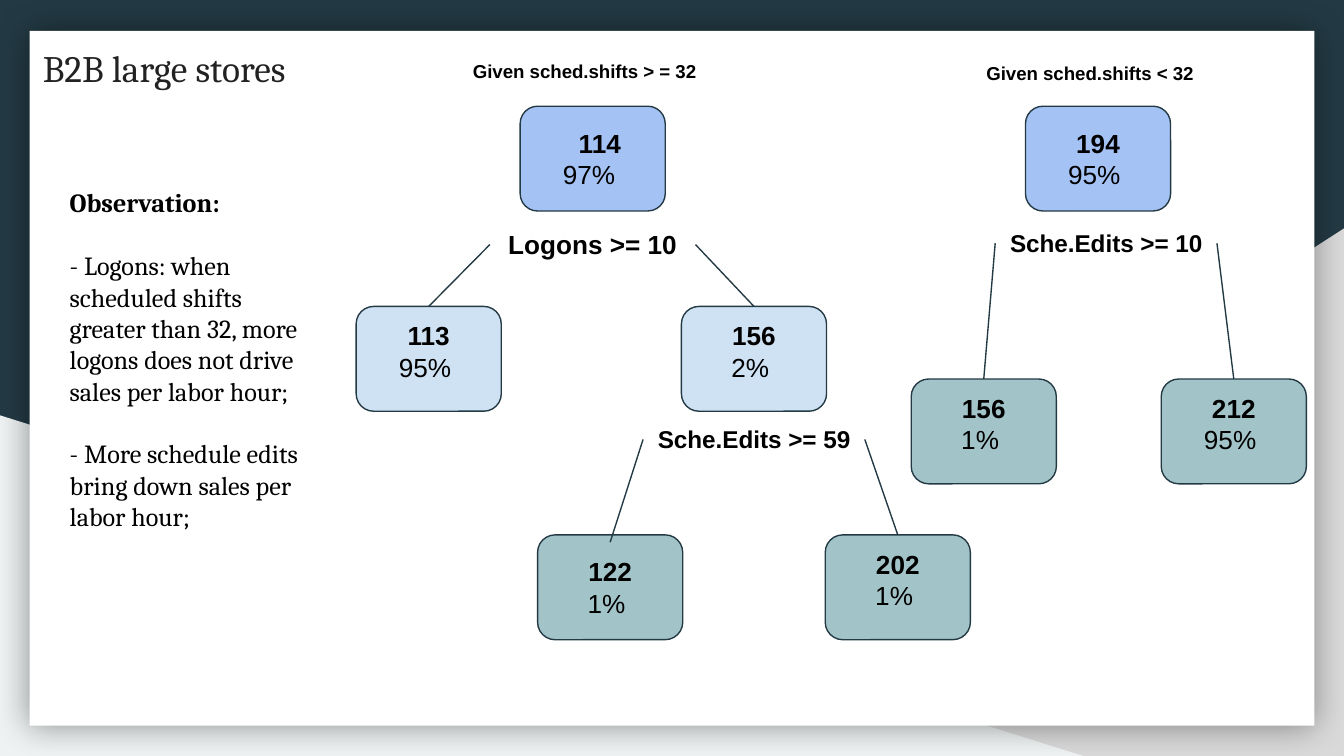
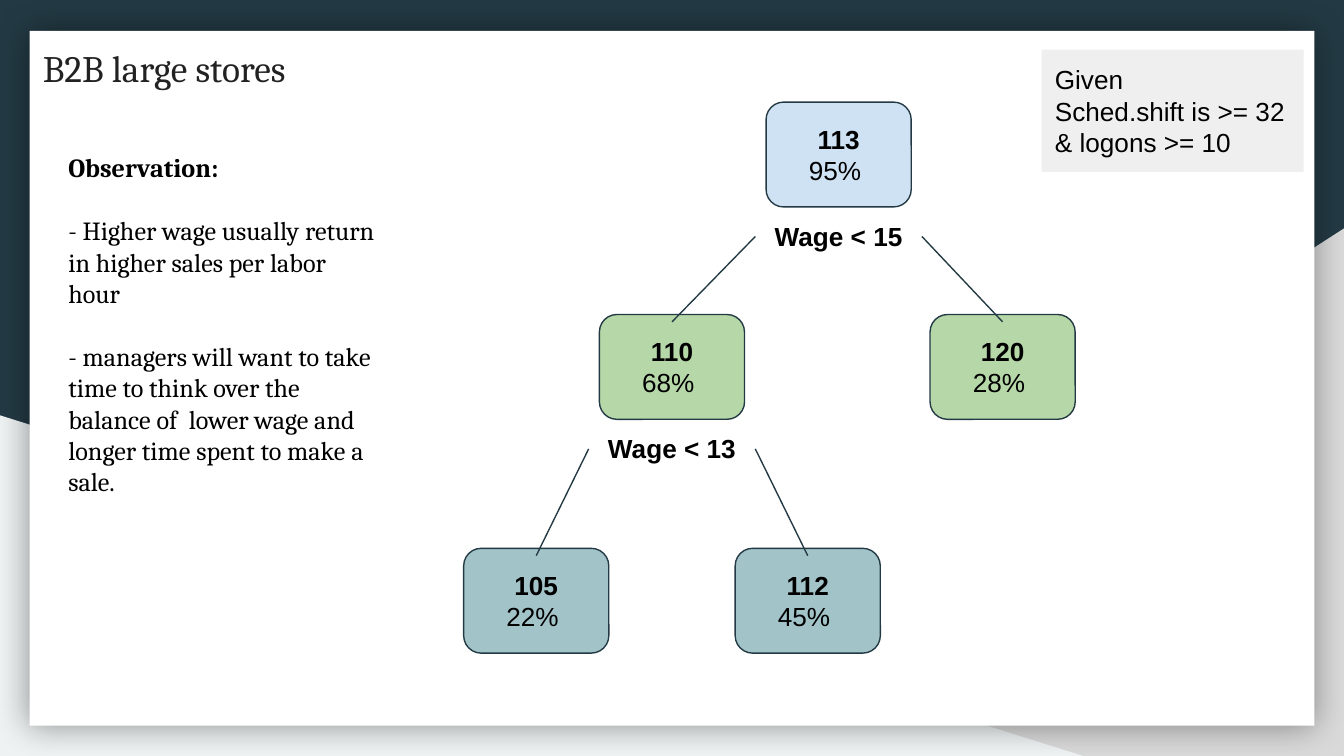
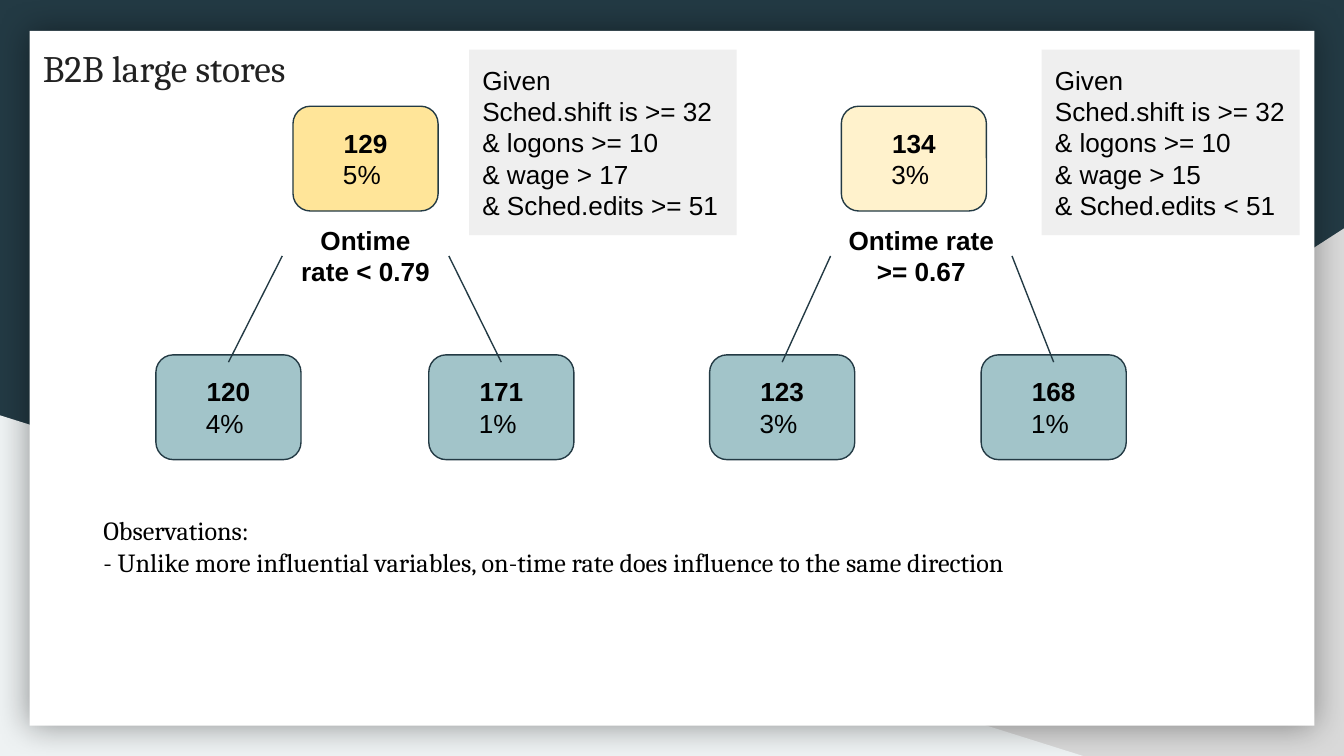
from dataclasses import dataclass

from lxml.etree import SubElement
from pptx import Presentation
from pptx.dml.color import RGBColor as Color
from pptx.enum.shapes import MSO_CONNECTOR as Link, MSO_SHAPE as Form
from pptx.enum.text import MSO_ANCHOR as Anchor, MSO_AUTO_SIZE as Fit, PP_ALIGN as Align
from pptx.oxml.ns import qn
from pptx.util import Inches, Pt

# The grid: square cells of a tenth of an inch
COLUMNS, ROWS = 100, 56.25
CELL = 0.1


@dataclass(frozen=True)
class Theme:
    sans: str = "Arial"
    serif: str = "Cambria"
    title_size: int = 20
    body_size: int = 14
    small_size: int = 13
    caption_size: int = 10
    gap: float = 16.8
    outline: float = 0.75
    black: str = "000000"
    heading: str = "222222"
    dark: str = "233A44"
    grey: str = "D9D9D9"
    pale: str = "EEF2F3"
    white: str = "FFFFFF"
    note: str = "EFEFEF"
    blue: str = "A4C2F4"
    sky: str = "CFE2F3"
    teal: str = "A2C4C9"
    green: str = "B6D7A8"
    amber: str = "FFE599"
    cream: str = "FFF2CC"


@dataclass(frozen=True)
class Node:
    center: float
    bottom: float
    label_top: float


THEME = Theme()


def cells(count):
    return Inches(count * CELL)


def write(frame, lines, font=THEME.sans, size=THEME.body_size, color=THEME.black,
          bold=False, align=Align.LEFT, gap=0, indent=0, anchor=Anchor.TOP, fit=True):
    """Fill a frame; a line is a text, or a text with its own bold, align and indent."""
    frame.word_wrap = True
    frame.auto_size = Fit.SHAPE_TO_FIT_TEXT if fit else Fit.NONE
    frame.vertical_anchor = anchor
    frame.margin_left = frame.margin_right = frame.margin_top = frame.margin_bottom = cells(1)
    for index, line in enumerate(lines):
        text, own = (line, {}) if isinstance(line, str) else line
        para = frame.paragraphs[0] if index == 0 else frame.add_paragraph()
        para.alignment = own.get("align", align)
        para.space_before = Pt(gap if index else 0)
        left = own.get("indent", indent)
        if left:
            para._p.get_or_add_pPr().set("marL", str(cells(left)))
        span = para.add_run()
        span.text = text
        span.font.name, span.font.size = font, Pt(size)
        span.font.bold = own.get("bold", bold)
        span.font.color.rgb = Color.from_string(color)


class TreeDeck:
    """The style of the deck and the page now being filled."""

    def __init__(self, theme):
        self.theme = theme
        self.deck = Presentation()
        self.deck.slide_width, self.deck.slide_height = cells(COLUMNS), cells(ROWS)
        self.blank = self.deck.slide_layouts[6]
        self.page = self.deck.slides.add_slide(self.blank)
        self.build_backdrop()

    def build_backdrop(self):
        """Draw the shared background once and hang it on the blank layout."""
        theme = self.theme
        fill = self.blank.background.fill
        fill.solid()
        fill.fore_color.rgb = Color.from_string(theme.dark)
        for holder in list(self.blank.placeholders):
            holder.element.getparent().remove(holder.element)
        right = self.shape(Form.RIGHT_TRIANGLE, 39.2, 17, 60.8, 39.25, theme.grey)
        right.element.spPr.get_or_add_xfrm().set("flipH", "1")
        left = self.shape(Form.RIGHT_TRIANGLE, 0, 30.9, 80.6, 25.35, theme.pale)
        sheet = self.shape(Form.RECTANGLE, 2.2, 2.3, 95.6, 51.7, theme.white)
        effects = sheet.element.spPr.find(qn("a:effectLst"))
        shadow = SubElement(effects, qn("a:outerShdw"), blurRad=str(Pt(18)), dist="0",
                            dir="0", algn="ctr", rotWithShape="0")
        tint = SubElement(shadow, qn("a:srgbClr"), val=theme.black)
        SubElement(tint, qn("a:alpha"), val="40000")
        for part in (right, left, sheet):
            self.blank.shapes.element.append(part.element)

    def start(self, title, first=False):
        if not first:
            self.page = self.deck.slides.add_slide(self.blank)
        self.text(2.2, 2.2, 27, 5.6, [title], font=self.theme.serif, fit=False,
                  size=self.theme.title_size, color=self.theme.heading, anchor=Anchor.MIDDLE)

    def shape(self, form, col, row, width, height, fill, outline=None):
        box = self.page.shapes.add_shape(form, *map(cells, (col, row, width, height)))
        box.shadow.inherit = False
        box.fill.solid()
        box.fill.fore_color.rgb = Color.from_string(fill)
        if outline:
            box.line.color.rgb = Color.from_string(outline)
            box.line.width = Pt(self.theme.outline)
        else:
            box.line.fill.background()
        return box

    def text(self, col, row, width, height, lines, **style):
        box = self.page.shapes.add_textbox(*map(cells, (col, row, width, height)))
        write(box.text_frame, lines, **style)

    def observation(self, col, row, width, height, lines, **style):
        self.text(col, row, width, height, lines, font=self.theme.serif, **style)

    def note(self, col, width, height, lines):
        box = self.shape(Form.RECTANGLE, col, 3.7, width, height, self.theme.note)
        write(box.text_frame, lines, anchor=Anchor.MIDDLE)

    def line(self, start, end):
        link = self.page.shapes.add_connector(Link.STRAIGHT, *map(cells, (*start, *end)))
        link.line.color.rgb = Color.from_string(self.theme.dark)
        link.line.width = Pt(self.theme.outline)
        SubElement(link.element.spPr, qn("a:effectLst"))

    def node(self, col, row, value, share, fill, drop=0.55, **value_style):
        """A rounded box with a bold value over its share."""
        width, height, inset = 10.8, 7.8, 0.67
        self.shape(Form.ROUNDED_RECTANGLE, col, row, width, height, fill, self.theme.dark)
        self.text(col + inset, row + drop, width - 2 * inset, 6.7,
                  [(value, {"bold": True, **value_style}), share + " "], align=Align.CENTER)
        return Node(col + width / 2, row + height, row + drop)

    def split(self, parent, question, left, right, width=12.4, height=4.4,
              shift=0, drop=0, size=THEME.body_size):
        """A question under its parent, with a line from each side to a child."""
        col, row = parent.center - width / 2 + shift, parent.bottom + drop
        self.text(col, row, width, height, [question], size=size, bold=True, align=Align.CENTER)
        for edge, child in ((col, left), (col + width, right)):
            self.line((edge, row + height / 2), (child.center, child.label_top))


def shifts_page(tree):
    theme = tree.theme
    tree.start("B2B large stores", first=True)

    # Many shifts
    tree.text(34.2, 3.6, 19.9, 3.7, ["Given sched.shifts > = 32"],
              size=theme.caption_size, bold=True)
    root = tree.node(38.7, 7.9, "114", "97%", theme.blue, align=Align.LEFT, indent=2.7)
    few_logons = tree.node(26.5, 22.8, "113", "95%", theme.sky, drop=0)
    many_logons = tree.node(50.7, 22.8, "156", "2%", theme.sky, drop=0)
    left = tree.node(40, 39.8, "122", "1%", theme.teal)
    right = tree.node(61.4, 39.8, "202", "1%", theme.teal, drop=0)
    tree.split(root, "Logons >= 10", few_logons, many_logons, width=15.3, drop=0.3)
    edits = {"width": 16.5, "height": 4.2, "size": theme.small_size}
    tree.split(many_logons, "Sche.Edits >= 59", left, right, **edits)

    # Few shifts
    tree.text(72.4, 3.8, 19.9, 3.7, ["Given sched.shifts < 32"],
              size=theme.caption_size, bold=True)
    root = tree.node(76.3, 7.9, "194", "95%", theme.blue)
    left = tree.node(67.8, 28.2, "156", "1%", theme.teal, drop=0)
    right = tree.node(86.4, 28.2, "212", "95%", theme.teal, drop=0)
    tree.split(root, "Sche.Edits >= 10", left, right, shift=0.6, drop=0.3, **edits)

    tree.observation(4.2, 12.9, 19.9, 30.3, [
        ("Observation:", {"bold": True}),
        "- Logons: when scheduled shifts greater than 32, more logons does not drive "
        "sales per labor hour;",
        "- More schedule edits bring down sales per labor hour;",
    ], gap=theme.gap)


def wage_page(tree):
    theme = tree.theme
    tree.start("B2B large stores")

    # Wage tree
    root = tree.node(57, 7.6, "113", "95%", theme.sky)
    low_wage = tree.node(44.6, 23.4, "110", "68%", theme.green)
    high_wage = tree.node(69.2, 23.4, "120", "28%", theme.green)
    left = tree.node(34.5, 40.8, "105", "22%", theme.teal)
    right = tree.node(54.7, 40.8, "112", "45%", theme.teal)
    tree.split(root, "Wage < 15", low_wage, high_wage)
    tree.split(low_wage, "Wage < 13", left, right)

    # Remarks
    tree.observation(4.1, 10.3, 25.2, 27.9, [
        ("Observation:", {"bold": True}),
        "- Higher wage usually return in higher sales per labor hour",
        "- managers will want to take time to think over the balance of  lower wage and "
        "longer time spent to make a sale.",
    ], gap=theme.gap)
    tree.note(77.5, 19.5, 9.1, ["Given", "Sched.shift is >= 32 & logons >= 10"])


def ontime_page(tree):
    theme = tree.theme
    tree.start("B2B large stores")

    # One tree on each side, with its conditions beside it
    sides = [
        (21.8, theme.amber, ("129", "5%"), "Ontime rate < 0.79", {},
         (11.6, "120", "4%"), (31.9, "171", "1%"),
         (34.9, 19.9), ["& wage > 17", "& Sched.edits >= 51"]),
        (62.6, theme.cream, ("134", "3%"), "Ontime rate >= 0.67", {"width": 13.5, "shift": 0.55},
         (52.8, "123", "3%"), (73, "168", "1%"),
         (77.5, 19.2), ["& wage > 15", "& Sched.edits < 51"]),
    ]
    for col, fill, figures, question, fitting, *leaves, (note_col, width), limits in sides:
        root = tree.node(col, 7.9, *figures, fill)
        left, right = [tree.node(leaf_col, 26.4, value, share, theme.teal)
                       for leaf_col, value, share in leaves]
        tree.split(root, question, left, right, height=6.7, **fitting)
        tree.note(note_col, width, 13.8,
                  ["Given", "Sched.shift is >= 32 & logons >= 10", *limits])

    tree.observation(6.7, 37.3, 78.1, 6.7, [
        "Observations:",
        "- Unlike more influential variables, on-time rate does influence to the same direction",
    ])


def main():
    tree = TreeDeck(THEME)
    shifts_page(tree)
    wage_page(tree)
    ontime_page(tree)
    tree.deck.save("out.pptx")


if __name__ == "__main__":
    main()
